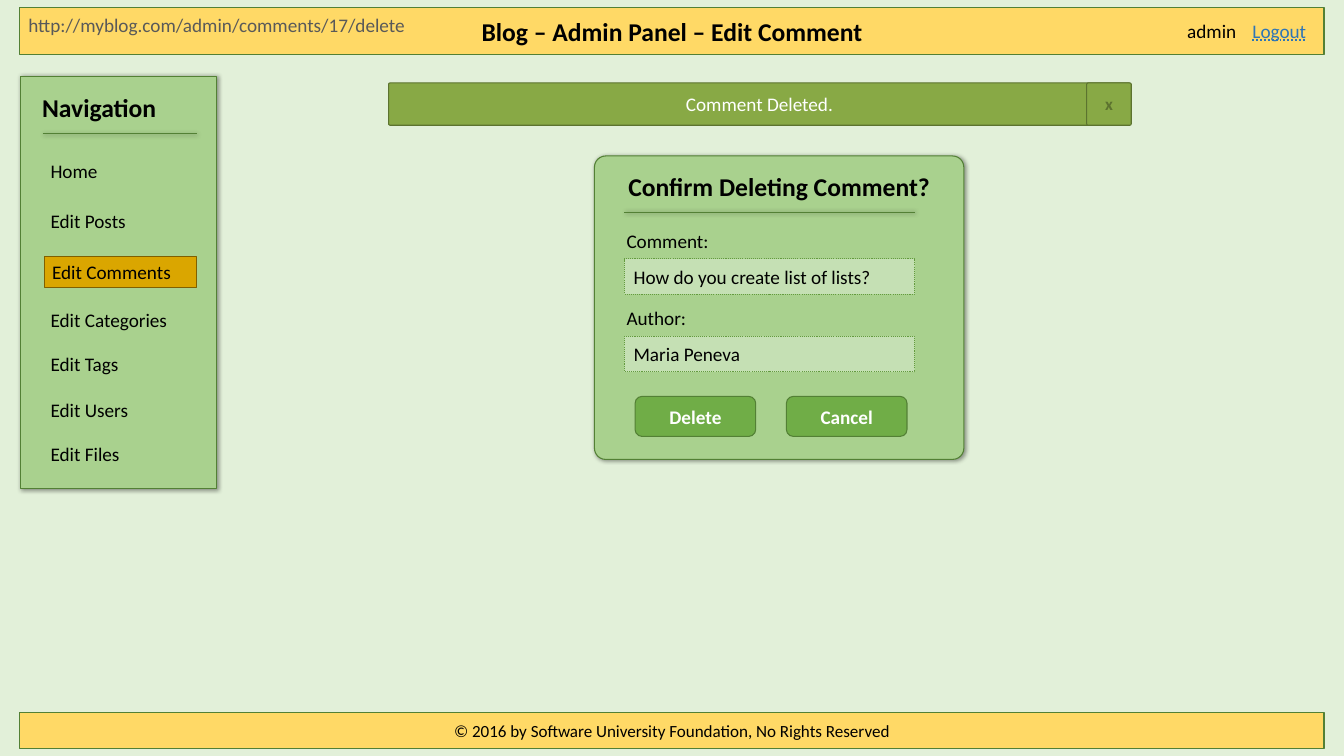
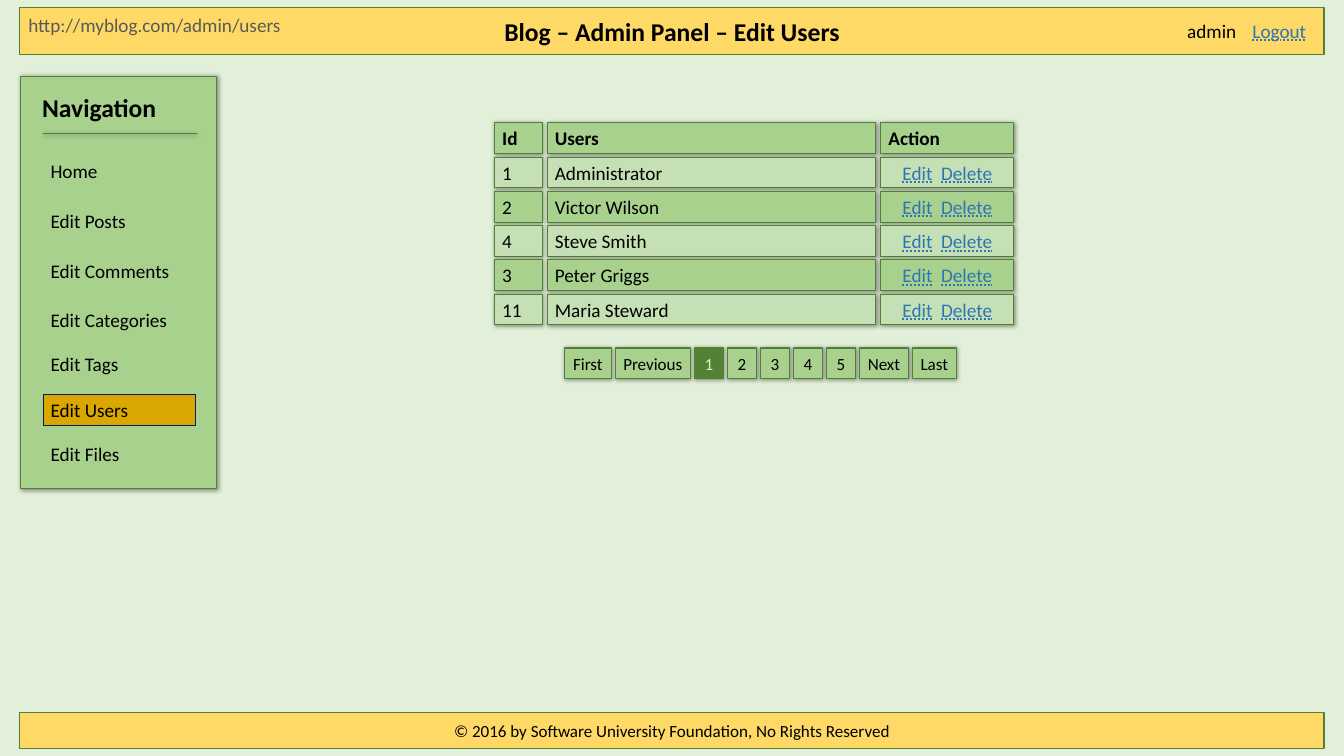
"""Build two blog admin panel screens on a grid of 175 columns by 98.4 rows."""
from lxml import etree
from pptx import Presentation, util as u
from pptx.dml.color import RGBColor
from pptx.enum import dml, shapes, text
from pptx.oxml import ns

COLORS = {
    "page": "E2F0D9", "band": "FFD966", "panel": "A9D18E", "field": "C5E0B4",
    "edge": "538035", "dots": "649B3F", "button": "70AD47", "current": "548235",
    "alert": "88A945", "alert edge": "5C732F", "active": "DAA600",
    "brown": "806000", "navy": "002060", "link": "2E75B6", "url": "595959",
    "ink": "000000", "white": "FFFFFF",
}
RGB = {name: RGBColor.from_string(value) for name, value in COLORS.items()}
COLS, ROWS = 175, 98.4
CELL = u.Inches(0.1)
CENTER = text.PP_ALIGN.CENTER
MIDDLE, TOP = text.MSO_ANCHOR.MIDDLE, text.MSO_ANCHOR.TOP
DOTTED = text.MSO_UNDERLINE.DOTTED_LINE
HEADING = {"size": u.Pt(24), "bold": True}
SMALL = {"size": u.Pt(16)}
LINK = {"underline": DOTTED}


def finish(item, line, width=1, shadow=False):
    """Outline a shape or connector and give it a soft shadow or none."""
    item.line.color.rgb = RGB[line]
    item.line.width = u.Pt(width)
    effects = etree.SubElement(item.element.spPr, ns.qn("a:effectLst"))
    if shadow:
        outer = etree.SubElement(effects, ns.qn("a:outerShdw"), blurRad="50800",
                                 dist="12700", dir="2700000", algn="tl", rotWithShape="0")
        tint = etree.SubElement(outer, ns.qn("a:srgbClr"), val=COLORS["ink"])
        etree.SubElement(tint, ns.qn("a:alpha"), val="40000")


def block(parent, box, words="", fill=None, line="edge", width=1, corner=None, shadow=False,
          color="ink", font=None, align=None, anchor=MIDDLE, wrap=True, grow=False, inset=None):
    """Place a filled shape, or a text box when there is no fill."""
    place = [round(length * CELL) for length in box]
    if fill:
        preset = shapes.MSO_SHAPE.RECTANGLE if corner is None else shapes.MSO_SHAPE.ROUNDED_RECTANGLE
        item = parent.add_shape(preset, *place)
        if corner is not None:
            item.adjustments[0] = corner
        item.fill.solid()
        item.fill.fore_color.rgb = RGB[fill]
        finish(item, line, width, shadow)
    else:
        item = parent.add_textbox(*place)
    frame = item.text_frame
    layout = {"word_wrap": wrap, "vertical_anchor": anchor}
    if grow:
        layout["auto_size"] = text.MSO_AUTO_SIZE.SHAPE_TO_FIT_TEXT
    if inset:
        layout.update(zip(("margin_left", "margin_top", "margin_right", "margin_bottom"), inset))
    for key, value in layout.items():
        setattr(frame, key, value)
    paragraph = frame.paragraphs[0]
    paragraph.alignment = align or text.PP_ALIGN.LEFT
    for part, extra in [(words, {})] if isinstance(words, str) else words:
        if part:
            run = paragraph.add_run()
            run.text = part
            run.font.color.rgb = RGB[color]
            for key, value in {"name": "Calibri", "size": u.Pt(18), **(font or {}), **extra}.items():
                setattr(run.font, key, value)
    return item


prs = Presentation()
prs.slide_width, prs.slide_height = round(COLS * CELL), round(ROWS * CELL)
prs.slide_master.background.fill.solid()
prs.slide_master.background.fill.fore_color.rgb = RGB["page"]

MENU = {"Home": 20.3, "Edit Posts": 26.7, "Edit Comments": 33.2, "Edit Categories": 39.6,
        "Edit Tags": 45.3, "Edit Users": 51.4, "Edit Files": 57.1}
PAGES = [
    ("Edit Comment", "comments/17/delete", 51.7, "Edit Comments", "brown", 0.2),
    ("Edit Users", "users", 35.3, "Edit Users", "navy", 0),
]
BAND = {"fill": "band", "align": CENTER}
LABEL = {"anchor": TOP, "grow": True}
PANEL = {"fill": "panel", "shadow": True}

canvases = []
for title, route, url_width, active, active_edge, shift in PAGES:
    canvas = prs.slides.add_slide(prs.slide_layouts[6]).shapes
    canvases.append(canvas)
    block(canvas, (2.6, 1, 169.8, 6.1), f"Blog – Admin Panel – {title}", font=HEADING, **BAND)
    block(canvas, (2.6, 92.8, 169.8, 4.6),
          "© 2016 by Software University Foundation, No Rights Reserved", font=SMALL, **BAND)
    block(canvas, (2.7, 1.2, url_width, 4), f"http://myblog.com/admin/{route}",
          color="url", wrap=False, **LABEL)
    block(canvas, (153.6, 2, 8.5, 4), "admin", wrap=False, **LABEL)
    block(canvas, (162.1, 2, 9.1, 4), "Logout", color="link", font=LINK, wrap=False, **LABEL)
    block(canvas, (2.7, 9.9, 25.5, 53.7), corner=0, **PANEL)
    block(canvas, (4.5, 11.5, 22, 5), "Navigation", font=HEADING, **LABEL)
    for entry, top in MENU.items():
        if entry == active:
            block(canvas, (5.6 + shift, top + shift, 19.8, 4), entry, fill="active",
                  line=active_edge, width=0.75, grow=True)
        else:
            block(canvas, (5.6, top, 19.8, 4), entry, grow=True)

comment, users = canvases

alert = comment.add_group_shape().shapes
ALERT = {"fill": "alert", "line": "alert edge", "corner": 0.035, "align": CENTER}
block(alert, (50.6, 10.8, 96.6, 5.5), "Comment Deleted.", color="white", **ALERT)
close = block(alert, (141.5, 10.8, 5.8, 5.5), "x", color="alert edge",
              font={**SMALL, "bold": True}, **ALERT)
outline = etree.Element(ns.qn("a:ln"), w="9525")
ink = etree.SubElement(outline, ns.qn("a:solidFill"))
etree.SubElement(ink, ns.qn("a:srgbClr"), val=COLORS["alert edge"])
close.text_frame.paragraphs[0].runs[0].font._element.insert(0, outline)

block(comment, (77.4, 20.3, 48.1, 39.5), corner=0.037, **PANEL)
block(comment, (79.8, 21.8, 43.3, 5), "Confirm Deleting Comment?", font=HEADING,
      align=CENTER, **LABEL)
for row, (caption, value) in enumerate([("Comment:", "How do you create list of lists?"),
                                        ("Author:", "Maria Peneva")]):
    top = 29.3 + row * 10.1
    block(comment, (80.6, top, 38.6, 4), caption, **LABEL)
    field = block(comment, (81.3, top + 4.4, 37.8, 4.6), value, fill="field", line="dots",
                  inset=[u.Inches(0.12), u.Inches(0.08)] * 2, **LABEL)
    field.line.dash_style = dml.MSO_LINE.ROUND_DOT
for column, action in enumerate(["Delete", "Cancel"]):
    block(comment, (82.7 + column * 19.7, 51.6, 15.7, 5.2), action, fill="button",
          corner=0.17, color="white", font={"bold": True}, align=CENTER)

RULES = [(comment, 5.6, 25.6, 17.4), (users, 5.6, 25.6, 17.4), (comment, 81.3, 119.1, 27.6)]
for canvas, start, end, top in RULES:
    rule = canvas.add_connector(shapes.MSO_CONNECTOR.STRAIGHT,
                                *(round(length * CELL) for length in (start, top, end, top)))
    finish(rule, "edge", shadow=True)

ACTIONS = [("Edit", LINK), (" ", {}), ("Delete", LINK)]
RECORDS = [("Id", "Users", "Action"), ("1", "Administrator", ACTIONS),
           ("2", "Victor Wilson", ACTIONS), ("4", "Steve Smith", ACTIONS),
           ("3", "Peter Griggs", ACTIONS), ("11", "Maria Steward", ACTIONS)]
for row, record in enumerate(RECORDS):
    left = 64.4
    for words, width in zip(record, (6.2, 42.8, 17.3)):
        links = words is ACTIONS
        entry = block(users, (left, 16 + row * 4.46, width, 4), words,
                      fill="field" if row % 2 else "panel", corner=0, shadow=True,
                      color="link" if links else "ink", font={"bold": row == 0},
                      align=CENTER if links else None, anchor=TOP)
        if links:
            entry.text_frame.paragraphs[0].runs[1].font._element.set("spc", "400")
        left += width + 0.65

pager = users.add_group_shape().shapes
left = 73.5
for step, width in [("First", 6.1), ("Previous", 9.8), *((digit, 3.8) for digit in "12345"),
                    ("Next", 6.4), ("Last", 5.7)]:
    current = step == "1"
    block(pager, (left, 45.3, width, 4), step, fill="current" if current else "panel",
          corner=0, shadow=True, color="page" if current else "ink", font=SMALL,
          align=CENTER, wrap=False)
    left += width + 0.5

prs.save("out.pptx")
